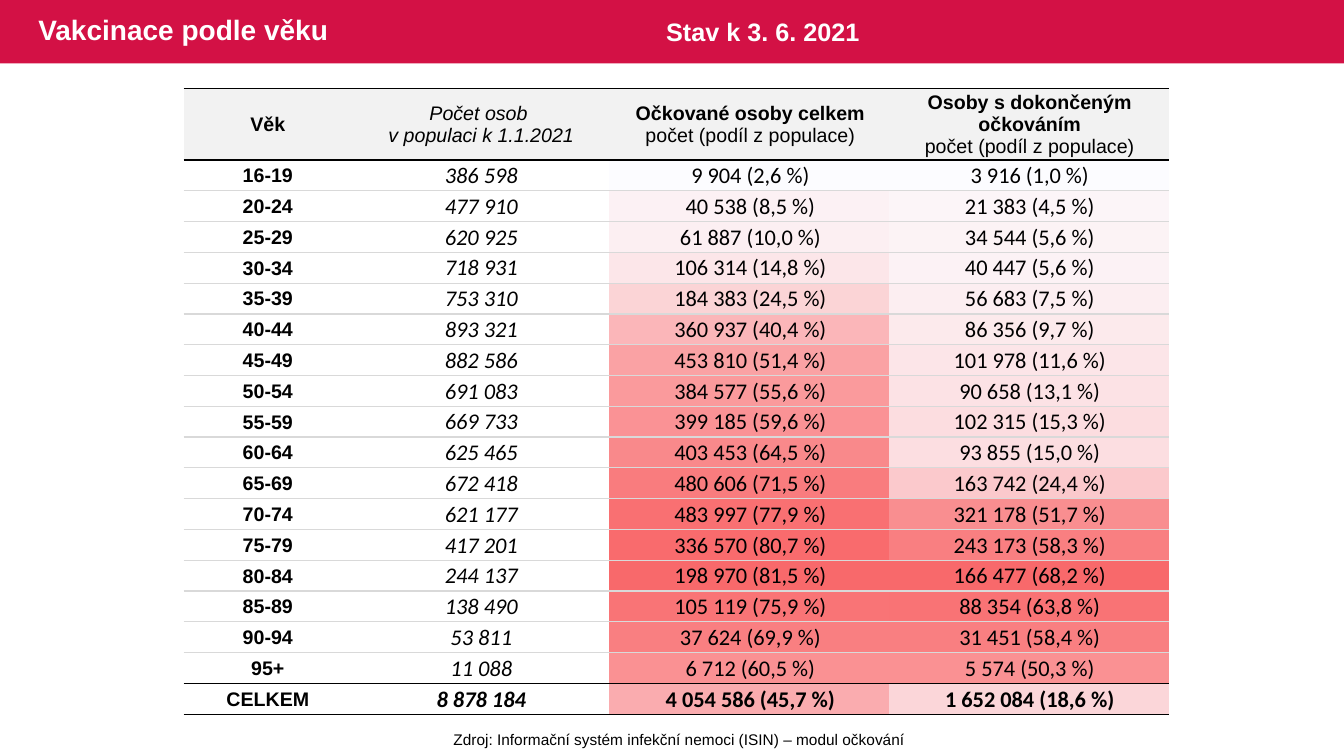
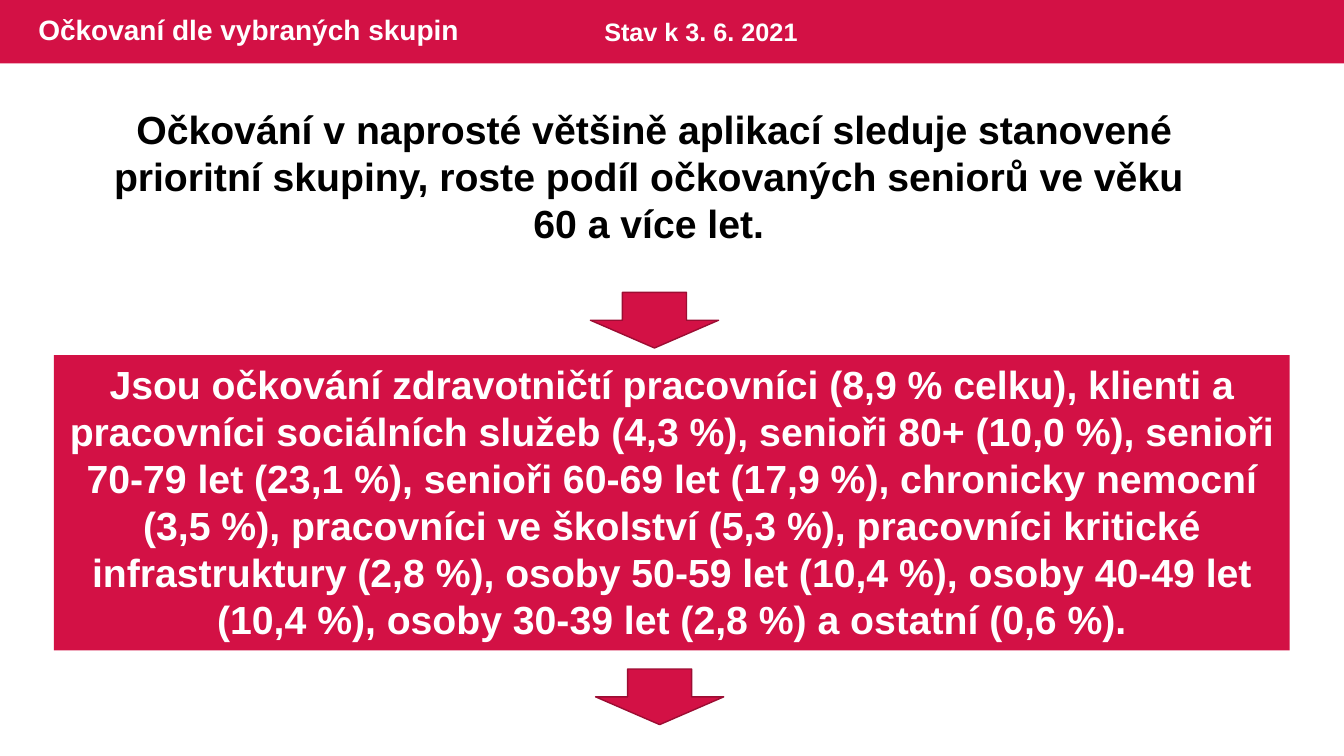
"""Build two slides on vaccination by age and by priority group."""
from lxml import etree
from pptx import Presentation
from pptx.dml.color import RGBColor
from pptx.enum import shapes as es, text as et
from pptx.oxml.ns import qn
from pptx.util import Cm, Pt

RED = RGBColor(0xD3, 0x11, 0x45)
DARK = RGBColor(0x9C, 0x0D, 0x33)
WHITE = RGBColor(0xFF, 0xFF, 0xFF)
BLACK = RGBColor(0, 0, 0)
GREY = RGBColor(0xD9, 0xD9, 0xD9)
PALE = RGBColor(0xF2, 0xF2, 0xF2)

WIDE, HIGH, BAND = Cm(33.87), Cm(19.05), Cm(1.6)
TOP, HEADER, BODY = Cm(2.22), Cm(1.8), Cm(13.97)
PLAIN = "{2D5ABB26-0587-4C30-8999-92F81FD0307C}"
LEFT, MID = et.PP_ALIGN.LEFT, et.PP_ALIGN.CENTER

STATE = "Stav k 3. 6. 2021"
SOURCE = "Zdroj: Informační systém infekční nemoci (ISIN) – modul očkování"
COLS = (4.24, 6.52, 7.04, 7.04)
HEAT = (7.06, 7.06)
HEAD = [
    [("Věk", "b")],
    [("Počet osob ", "i"), ("v populaci k 1.1.2021", "i")],
    [("Očkované osoby celkem", "b"), ("počet (podíl z populace)", "")],
    [("Osoby s dokončeným očkováním", "b"), ("počet (podíl z populace)", "")],
]
ROWS = [
    ("16-19", "386 598", "9 904 (2,6 %)", "3 916 (1,0 %)", "FCFCFF", "FCFCFF"),
    ("20-24", "477 910", "40 538 (8,5 %)", "21 383 (4,5 %)", "FCF1F4", "FCF5F8"),
    ("25-29", "620 925", "61 887 (10,0 %)", "34 544 (5,6 %)", "FCEFF2", "FCF3F5"),
    ("30-34", "718 931", "106 314 (14,8 %)", "40 447 (5,6 %)", "FCE6E9", "FCF2F5"),
    ("35-39", "753 310", "184 383 (24,5 %)", "56 683 (7,5 %)", "FBD4D6", "FCEEF1"),
    ("40-44", "893 321", "360 937 (40,4 %)", "86 356 (9,7 %)", "FBB6B9", "FCEAEC"),
    ("45-49", "882 586", "453 810 (51,4 %)", "101 978 (11,6 %)", "FAA2A4", "FCE5E8"),
    ("50-54", "691 083", "384 577 (55,6 %)", "90 658 (13,1 %)", "FA9A9C", "FCE2E5"),
    ("55-59", "669 733", "399 185 (59,6 %)", "102 315 (15,3 %)", "FA9295", "FCDDE0"),
    ("60-64", "625 465", "403 453 (64,5 %)", "93 855 (15,0 %)", "F9898B", "FCDEE1"),
    ("65-69", "672 418", "480 606 (71,5 %)", "163 742 (24,4 %)", "F97C7E", "FBC9CC"),
    ("70-74", "621 177", "483 997 (77,9 %)", "321 178 (51,7 %)", "F97072", "F98E90"),
    ("75-79", "417 201", "336 570 (80,7 %)", "243 173 (58,3 %)", "F96B6D", "F97F81"),
    ("80-84", "244 137", "198 970 (81,5 %)", "166 477 (68,2 %)", "F8696B", "F8696B"),
    ("85-89", "138 490", "105 119 (75,9 %)", "88 354 (63,8 %)", "F97476", "F97375"),
    ("90-94", "53 811", "37 624 (69,9 %)", "31 451 (58,4 %)", "F97F81", "F97F81"),
    ("95+", "11 088", "6 712 (60,5 %)", "5 574 (50,3 %)", "FA9193", "FA9193"),
    ("CELKEM", "8 878 184", "4 054 586 (45,7 %)", "1 652 084 (18,6 %)", "FAACAF", "FBD6D9"),
]
CLAIM = [
    "Očkování v naprosté většině aplikací sleduje stanovené prioritní skupiny, "
    "roste podíl očkovaných seniorů ve věku ",
    "60 a více let. ",
]
GROUPS = (
    "Jsou očkování zdravotničtí pracovníci (8,9 % celku), klienti a pracovníci "
    "sociálních služeb (4,3 %), senioři 80+ (10,0 %), senioři 70-79 let (23,1 %), "
    "senioři 60-69 let (17,9 %), chronicky nemocní (3,5 %), pracovníci ve školství "
    "(5,3 %), pracovníci kritické infrastruktury (2,8 %), osoby 50-59 let (10,4 %), "
    "osoby 40-49 let (10,4 %), osoby 30-39 let (2,8 %) a ostatní (0,6 %)."
)
ARROWS = [(14.88, 7.37), (15.01, 16.86)]


def write(frame, lines, size, color=BLACK, align=MID, font="Arial"):
    """Fill a frame with (text, style) lines, one paragraph each."""
    for num, (line, style) in enumerate(lines):
        para = frame.add_paragraph() if num else frame.paragraphs[0]
        para.alignment = align
        run = para.add_run()
        run.text = line
        run.font.name, run.font.size = font, Pt(size)
        run.font.bold, run.font.italic = "b" in style, "i" in style
        run.font.color.rgb = color


def label(slide, box, lines, size, color=BLACK, align=MID, wrap=True):
    """Add a text box."""
    frame = slide.shapes.add_textbox(*map(Cm, box)).text_frame
    frame.word_wrap = wrap
    frame.auto_size = et.MSO_AUTO_SIZE.SHAPE_TO_FIT_TEXT
    write(frame, lines, size, color, align)


def block(slide, kind, box, line=None):
    """Add a red preset shape."""
    shape = slide.shapes.add_shape(kind, *box)
    shape.shadow.inherit = False
    shape.fill.solid()
    shape.fill.fore_color.rgb = RED
    if line is None:
        shape.line.fill.background()
    else:
        shape.line.color.rgb, shape.line.width = line, Pt(1)
    return shape


def start(deck, name, left):
    """Add a slide with its title and date."""
    slide = deck.slides.add_slide(deck.slide_layouts[5])
    title = slide.shapes.title
    title.left, title.top, title.width, title.height = Cm(0.71), 0, Cm(20.65), BAND
    frame = title.text_frame
    frame.auto_size = et.MSO_AUTO_SIZE.NONE
    frame.vertical_anchor = et.MSO_ANCHOR.MIDDLE
    write(frame, [(name, "b")], 20, WHITE, LEFT)
    frame.paragraphs[0].line_spacing = 0.9
    label(slide, (left, 0.28, 7.52, 1.02), [(STATE, "b")], 18, WHITE, LEFT)
    return slide


def table(slide, left, top, cols, rows):
    """Add an unstyled table with the given column widths and row heights."""
    grid = slide.shapes.add_table(
        len(rows), len(cols), Cm(left), top, Cm(sum(cols)), sum(rows)).table
    grid.first_row = grid.horz_banding = False
    grid._tbl.tblPr.find(qn("a:tableStyleId")).text = PLAIN
    for col, width in zip(grid.columns, cols):
        col.width = Cm(width)
    for row, tall in zip(grid.rows, rows):
        row.height = tall
    for cell in grid.iter_cells():
        cell.margin_left = cell.margin_right = cell.margin_top = Cm(0.03)
        cell.margin_bottom = 0
        cell.vertical_anchor = et.MSO_ANCHOR.MIDDLE
    return grid


def edge(cell, top, low):
    """Draw the top and bottom borders of a cell."""
    props = cell._tc.get_or_add_tcPr()
    for tag, color in (("a:lnT", top), ("a:lnB", low)):
        line = etree.SubElement(props, qn(tag), w=str(Pt(1)))
        fill = etree.SubElement(line, qn("a:solidFill"))
        etree.SubElement(fill, qn("a:srgbClr"), val=str(color))


def tint(cell, color):
    """Give a cell a solid fill, or none."""
    if color is None:
        cell.fill.background()
    else:
        cell.fill.solid()
        cell.fill.fore_color.rgb = color


def shade(slide, rows):
    """Add the table of heat colours that lies behind the figures."""
    grid = table(slide, 15.35, TOP + HEADER, HEAT, rows)
    for num, row in enumerate(ROWS):
        for col, code in enumerate(row[4:]):
            cell = grid.cell(num, col)
            para = cell.text_frame.paragraphs[0]
            etree.SubElement(para._p, qn("a:endParaRPr"), sz="1200")
            tint(cell, RGBColor.from_string(code))


def ages(slide, rows):
    """Add the table of age groups."""
    count = len(ROWS)
    grid = table(slide, 4.63, TOP, COLS, [HEADER] + rows)
    for col, lines in enumerate(HEAD):
        cell = grid.cell(0, col)
        write(cell.text_frame, lines, 14)
        edge(cell, BLACK, BLACK)
        tint(cell, PALE)
    for num, row in enumerate(ROWS, 1):
        bold = "b" if num == count else ""
        looks = [("b", 14, "Arial"), (bold + "i", 16, "Calibri")]
        looks += [(bold, 16, "Calibri")] * 2
        above = BLACK if num in (1, count) else GREY
        below = BLACK if num >= count - 1 else GREY
        for col, (word, (style, size, font)) in enumerate(zip(row, looks)):
            cell = grid.cell(num, col)
            write(cell.text_frame, [(word, style)], size, font=font)
            edge(cell, above, below)
            tint(cell, None)


def main():
    """Build and save the deck."""
    deck = Presentation()
    deck.slide_width, deck.slide_height = WIDE, HIGH

    slide = start(deck, "Vakcinace podle věku", 16.54)
    band = block(slide, es.MSO_SHAPE.RECTANGLE, (0, 0, WIDE, BAND))
    deck.slide_layouts[5].shapes._spTree.insert(2, band._element)
    rows = [BODY // len(ROWS)] * len(ROWS)
    shade(slide, rows)
    label(slide, (11.15, 18.28, 11.94, 0.74), [(SOURCE, "")], 11, wrap=False)
    ages(slide, rows)

    slide = start(deck, "Očkovaní dle vybraných skupin", 14.98)
    label(slide, (1.78, 2.53, 29.41, 3.84), [(line, "b") for line in CLAIM], 28)
    box = block(slide, es.MSO_SHAPE.RECTANGLE, map(Cm, (1.36, 8.95, 31.14, 7.44)))
    box.text_frame.word_wrap = True
    box.text_frame.auto_size = et.MSO_AUTO_SIZE.SHAPE_TO_FIT_TEXT
    box.text_frame.vertical_anchor = et.MSO_ANCHOR.TOP
    write(box.text_frame, [(GROUPS, "b")], 28, WHITE)
    for left, top in ARROWS:
        block(slide, es.MSO_SHAPE.DOWN_ARROW, map(Cm, (left, top, 3.23, 1.4)), DARK)

    deck.save("out.pptx")


if __name__ == "__main__":
    main()
